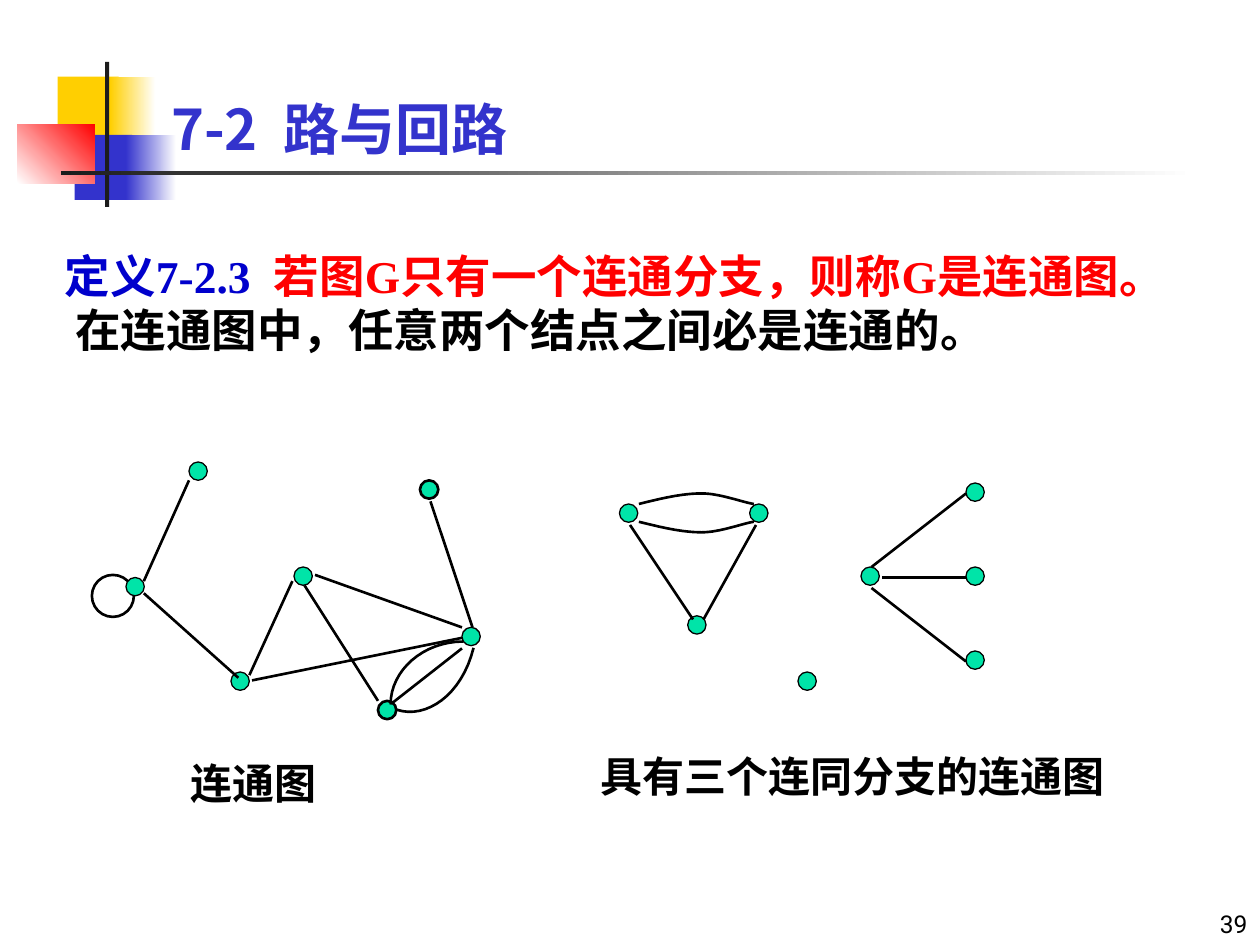
from pptx import Presentation
from pptx.dml.color import RGBColor
from pptx.enum.shapes import MSO_CONNECTOR, MSO_SHAPE
from pptx.enum.text import MSO_ANCHOR, PP_ALIGN
from pptx.oxml.ns import qn
from pptx.util import Inches, Pt

RECTANGLE, OVAL = MSO_SHAPE.RECTANGLE, MSO_SHAPE.OVAL
STRAIGHT = MSO_CONNECTOR.STRAIGHT
TOP, BOTTOM = MSO_ANCHOR.TOP, MSO_ANCHOR.BOTTOM
LEFT, RIGHT = PP_ALIGN.LEFT, PP_ALIGN.RIGHT

BLACK = RGBColor(0x00, 0x00, 0x00)
WHITE = RGBColor(0xFF, 0xFF, 0xFF)
CHARCOAL = RGBColor(0x1C, 0x1C, 0x1C)
YELLOW = RGBColor(0xFF, 0xCF, 0x01)
INDIGO = RGBColor(0x33, 0x33, 0xCC)
BLUE = RGBColor(0x00, 0x00, 0xCC)
RED = RGBColor(0xFF, 0x00, 0x00)
MINT = RGBColor(0x00, 0xE4, 0xA8)

CJK, SANS, SERIF = "Noto Sans CJK SC", "Roboto", "Times New Roman"

COLUMNS, ROWS = 120, 90  # twelve grid cells to the inch
NODE = 1.75              # node diameter in cells
EDGE_WIDTH = 1.5


def write(paragraph, text, *, size, color, font=SANS, bold=True):
    run = paragraph.add_run()
    run.text = text
    run.font.size, run.font.bold, run.font.name = Pt(size), bold, font
    run.font.color.rgb = color
    east_asian = run.font._element.makeelement(qn("a:ea"), {"typeface": CJK})
    run.font._element.find(qn("a:latin")).addnext(east_asian)


def bezier(start, *controls, steps=16):
    """Points along a chain of cubic curves, three controls to each."""
    points = [start]
    for i in range(0, len(controls), 3):
        corners = (points[-1], *controls[i:i + 3])
        for step in range(1, steps + 1):
            t = step / steps
            weights = ((1 - t) ** 3, 3 * t * (1 - t) ** 2, 3 * t * t * (1 - t), t ** 3)
            points.append(tuple(sum(w * c[axis] for w, c in zip(weights, corners))
                                for axis in (0, 1)))
    return points


class GraphSlide:
    def __init__(self, deck):
        self.column = deck.slide_width / COLUMNS
        self.row = deck.slide_height / ROWS
        self.slide = deck.slides.add_slide(deck.slide_layouts[5])
        self.canvas = self.slide.shapes

    def box(self, x, y, width, height):
        return (round(x * self.column), round(y * self.row),
                round(width * self.column), round(height * self.row))

    def start_group(self):
        self.canvas = self.slide.shapes.add_group_shape().shapes

    def shape(self, kind, area, fill=None, fade=None, angle=0, line=0):
        item = self.canvas.add_shape(kind, *self.box(*area))
        item.shadow.inherit = False
        if fade is not None:
            item.fill.gradient()
            item.fill.gradient_angle = angle
            for stop, color in zip(item.fill.gradient_stops, (fill, fade)):
                stop.color.rgb = color
        elif fill is not None:
            item.fill.solid()
            item.fill.fore_color.rgb = fill
        else:
            item.fill.background()
        self.outline(item, line)

    def outline(self, item, width):
        if width:
            item.line.color.rgb, item.line.width = BLACK, Pt(width)
        else:
            item.line.fill.background()

    def node(self, x, y, line=0.75):
        self.shape(OVAL, (x, y, NODE, NODE), MINT, line=line)

    def edge(self, x1, y1, x2, y2):
        link = self.canvas.add_connector(STRAIGHT, *self.box(x1, y1, x2, y2))
        self.outline(link, EDGE_WIDTH)
        properties = link._element.spPr
        properties.append(properties.makeelement(qn("a:effectLst"), {}))

    def curve(self, *controls):
        points = [self.box(x, y, 0, 0)[:2] for x, y in bezier(*controls)]
        builder = self.canvas.build_freeform(*points[0])
        builder.add_line_segments(points[1:], close=False)
        arc = builder.convert_to_shape()
        arc.shadow.inherit = False
        arc.fill.background()
        self.outline(arc, EDGE_WIDTH)

    def frame(self, item, anchor):
        item.text_frame.word_wrap = True
        item.text_frame.vertical_anchor = anchor
        return item.text_frame.paragraphs[0]

    def text(self, area, anchor=TOP, align=LEFT):
        paragraph = self.frame(self.canvas.add_textbox(*self.box(*area)), anchor)
        paragraph.alignment = align
        return paragraph

    def title(self, area, text, **style):
        heading = self.slide.shapes.title
        heading.left, heading.top, heading.width, heading.height = self.box(*area)
        paragraph = self.frame(heading, BOTTOM)
        paragraph.alignment = LEFT
        write(paragraph, text, **style)
        # Bring the heading in front of the ornament
        heading._element.getparent().append(heading._element)


def main():
    deck = Presentation()
    deck.slide_width, deck.slide_height = Inches(10), Inches(7.5)
    page = GraphSlide(deck)

    # Ornament beside the title
    page.shape(RECTANGLE, (5.5, 7.3, 5.8, 6.2), YELLOW)
    page.shape(RECTANGLE, (10.5, 7.3, 4.3, 6.2), YELLOW, WHITE)
    page.shape(RECTANGLE, (7.1, 12.85, 5.5, 6.2), INDIGO)
    page.shape(RECTANGLE, (12, 12.85, 4.8, 6.2), INDIGO, WHITE)
    page.shape(RECTANGLE, (1.65, 11.85, 7.4, 5.6), WHITE, RED, angle=45)
    page.shape(RECTANGLE, (10, 5.9, 0.4, 13.8), CHARCOAL)
    page.shape(RECTANGLE, (5.8, 16.3, 108, 0.4), CHARCOAL, WHITE)

    # Title and page number
    page.title((15.1, 1, 102.2, 15), "7-2  路与回路", size=32, color=INDIGO, font=CJK)
    write(page.text((95, 84, 25, 6), BOTTOM, RIGHT), "39",
          size=14, color=BLACK, bold=False)

    # Definition
    definition = page.text((5, 23, 109, 15))
    remark = definition._parent.add_paragraph()
    for paragraph, parts in (
            (definition, (("定义7-2.3  ", BLUE), ("若图G只有一个连通分支，则称G是连通图。", RED))),
            (remark, ((" 在连通图中，任意两个结点之间必是连通的。", BLACK),))):
        indent = paragraph._p.get_or_add_pPr()
        indent.set("marL", str(Inches(0.38)))
        indent.set("indent", str(-Inches(0.38)))
        for part, color in parts:
            write(paragraph, part, size=26, color=color, font=SERIF)

    # Connected graph
    page.start_group()
    for x, y in ((18, 44), (22, 64), (44, 59.75), (28, 54)):
        page.node(x, y)
    for x, y in ((40, 45.75), (36, 66.75)):
        page.node(x, y, line=EDGE_WIDTH)
    for ends in ((18, 45.75, 13.7, 55.35), (13.7, 56.5, 22.7, 64.55),
                 (27.85, 55.35, 23.75, 64.3), (24, 64.8, 44, 60.75),
                 (30, 54.75, 44, 59.75), (41, 47.75, 45, 59.75),
                 (37.3, 67, 44, 61.75), (29, 55.75, 36, 66.75)):
        page.edge(*ends)
    page.curve((44.15, 61.1), (40.3, 61.1), (37.2, 63.85), (37.2, 67.1))
    page.curve((45.1, 61.7), (44, 66.2), (40.6, 68.5), (37.8, 67.6))
    page.shape(OVAL, (8.75, 54.75, 4, 4), line=EDGE_WIDTH)
    page.node(12, 55)
    write(page.text((17, 71.6, 22, 6)), "连通图", size=24, color=BLACK)

    # Graph with three components
    page.start_group()
    for x, y in ((59, 48), (65.5, 58.65), (71.4, 48), (76, 64),
                 (92, 62), (92, 54), (92, 46), (82, 54)):
        page.node(x, y)
    upper_arc = ((60.85, 48), (62.9, 47.5), (64.9, 47), (66.85, 47),
                 (68.6, 47), (70.9, 47.9), (71.8, 48))
    page.curve(*upper_arc)
    page.curve(*((x, 97.7 - y) for x, y in upper_arc))
    for ends in ((72, 50, 67, 59), (60, 50, 66, 59), (83, 54, 92, 47),
                 (84, 55, 92, 55), (83, 56, 92, 63)):
        page.edge(*ends)
    write(page.text((56, 70.9, 52, 6)), "具有三个连同分支的连通图", size=24, color=BLACK)

    deck.save("out.pptx")


if __name__ == "__main__":
    main()
